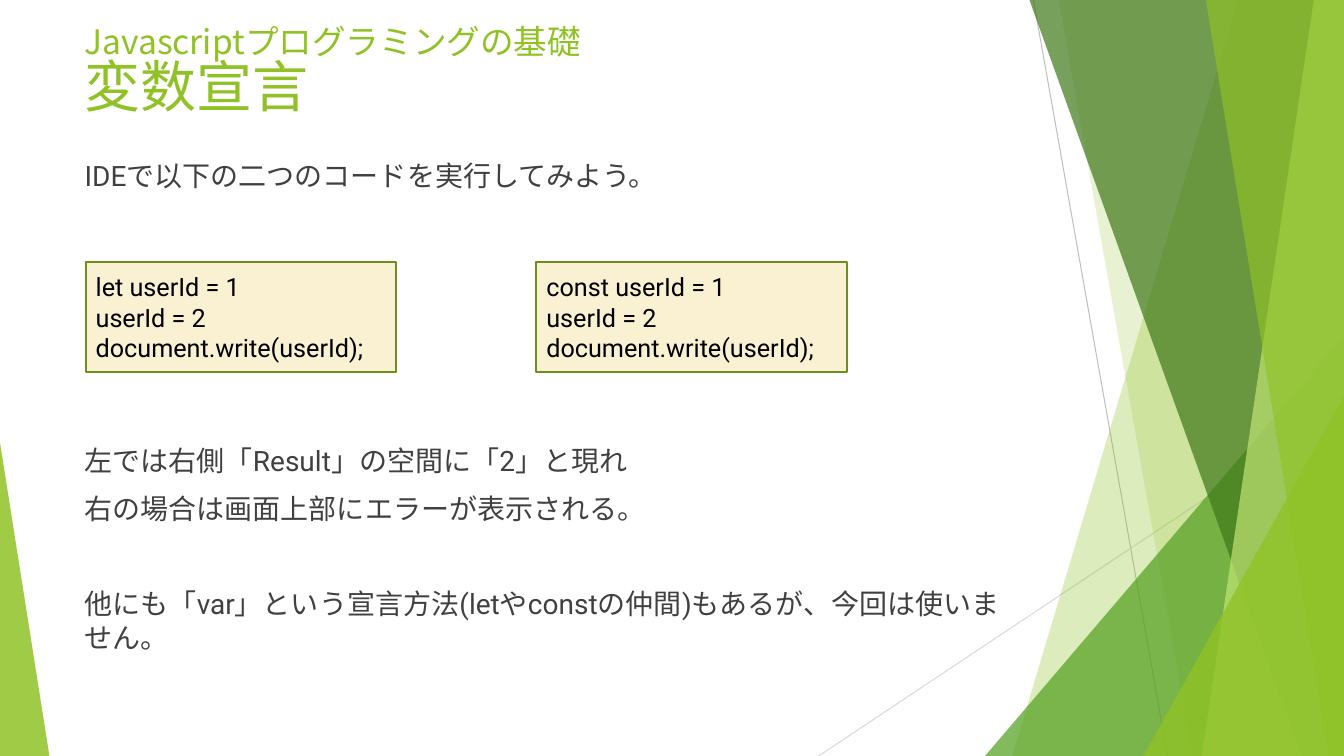
from pptx import Presentation
from pptx.dml.color import RGBColor
from pptx.enum.shapes import MSO_CONNECTOR, MSO_SHAPE
from pptx.enum.text import MSO_ANCHOR, PP_ALIGN
from pptx.oxml.ns import qn
from pptx.util import Inches, Pt
from lxml import etree

LINE = MSO_CONNECTOR.STRAIGHT
RECT = MSO_SHAPE.RECTANGLE
TRI = MSO_SHAPE.ISOSCELES_TRIANGLE
TOP, MID = MSO_ANCHOR.TOP, MSO_ANCHOR.MIDDLE
LEFT = PP_ALIGN.LEFT

WIDE, HIGH = 13.33, 7.5
SANS, CODE = "Noto Sans CJK JP", "Roboto"
COLORS = {
    "lime": "90C226", "green": "54A021", "dark": "3F7819", "pale": "C0E474",
    "gray": "BFBFBF", "mist": "D9D9D9", "text": "404040", "black": "000000",
    "cream": "FAF1D2", "edge": "6B901C",
}


def color(name):
    return RGBColor.from_string(COLORS[name])


def paint(shape, name, alpha=100):
    """Fill a shape without outline or shadow, with opacity in percent."""
    shape.shadow.inherit = False
    shape.line.fill.background()
    shape.fill.solid()
    shape.fill.fore_color.rgb = color(name)
    if alpha < 100:
        tone = shape.fill._xPr.find(qn("a:solidFill"))[0]
        etree.SubElement(tone, qn("a:alpha"), val=str(alpha * 1000))


def add_run(para, text, size, name, font):
    run = para.add_run()
    run.text = text
    run.font.size = Pt(size)
    run.font.name = font
    run.font.color.rgb = color(name)
    east = etree.SubElement(run.font._element, qn("a:ea"))
    east.set("typeface", font)


def add_frame(shape, anchor):
    frame = shape.text_frame
    frame.word_wrap = True
    frame.vertical_anchor = anchor
    return frame


def add_ray(slide, start, end, name):
    ray = slide.shapes.add_connector(LINE, *map(Inches, start + end))
    ray.line.color.rgb = color(name)
    ray.line.width = Pt(0.75)
    etree.SubElement(ray._element.spPr, qn("a:effectLst"))


def add_band(slide, top, foot, name, alpha):
    """Full-height band from a slanted left edge to the slide's right edge."""
    points = [(top, 0), (WIDE, 0), (WIDE, HIGH), (foot, HIGH)]
    points = [(Inches(x), Inches(y)) for x, y in points]
    pen = slide.shapes.build_freeform(*points[0])
    pen.add_line_segments(points[1:], close=True)
    paint(pen.convert_to_shape(), name, alpha)


def add_wedge(slide, left, width, height, tip, name, alpha):
    """Triangle standing on the bottom edge of the slide."""
    wedge = slide.shapes.add_shape(
        TRI, Inches(left), Inches(HIGH - height), Inches(width), Inches(height))
    wedge.adjustments[0] = tip
    paint(wedge, name, alpha)


def add_decor(slide):
    # Thin rays
    add_ray(slide, (10.25, 0), (11.58, HIGH), "gray")
    add_ray(slide, (WIDE, 4.03), (8.12, HIGH), "mist")
    # Overlapping bands and wedges, back to front
    add_band(slide, 12.28, 10.04, "lime", 30)
    add_band(slide, 10.5, 11.83, "lime", 20)
    add_wedge(slide, 9.77, 3.56, 4.17, 1, "green", 72)
    add_band(slide, 10.21, 12.91, "dark", 70)
    add_band(slide, 13.03, 11.92, "pale", 70)
    add_band(slide, 11.96, 13.18, "lime", 65)
    add_wedge(slide, 11.34, 1.99, 3.57, 1, "lime", 80)
    add_wedge(slide, 0, 0.49, 3.11, 0, "lime", 85)


def add_title(slide, box, topic, title):
    frame = add_frame(slide.shapes.add_textbox(*map(Inches, box)), TOP)
    para = frame.paragraphs[0]
    para.line_spacing = 0.85
    add_run(para, topic, 24, "lime", SANS)
    para.add_line_break()
    add_run(para, title, 40, "lime", SANS)


def add_body(slide, box, items):
    """Each item is the number of empty rows above it and its text."""
    frame = add_frame(slide.shapes.add_textbox(*map(Inches, box)), TOP)
    row, gap = 24, 10
    for i, (skip, text) in enumerate(items):
        para = frame.add_paragraph() if i else frame.paragraphs[0]
        para.space_before = Pt(gap + skip * (row + gap))
        add_run(para, text, 20, "text", CODE)


def add_code(slide, box, lines):
    panel = slide.shapes.add_shape(RECT, *map(Inches, box))
    paint(panel, "cream")
    panel.line.color.rgb = color("edge")
    panel.line.width = Pt(1.5)
    frame = add_frame(panel, MID)
    for i, text in enumerate(lines):
        para = frame.add_paragraph() if i else frame.paragraphs[0]
        para.alignment = LEFT
        add_run(para, text, 18, "black", CODE)


def main():
    deck = Presentation()
    deck.slide_width, deck.slide_height = Inches(WIDE), Inches(HIGH)
    slide = deck.slides.add_slide(deck.slide_layouts[6])
    add_decor(slide)
    add_title(slide, (0.74, 0.22, 9.4, 1.21),
              "Javascriptプログラミングの基礎", "変数宣言")
    add_body(slide, (0.74, 1.52, 9.4, 5.09), [
        (0, "IDEで以下の二つのコードを実行してみよう。"),
        (5, "左では右側「Result」の空間に「2」と現れ"),
        (0, "右の場合は画面上部にエラーが表示される。"),
        (1, "他にも「var」という宣言方法(letやconstの仲間)もあるが、今回は使いません。"),
    ])
    # Two code samples that differ in the keyword
    for i, word in enumerate(("let", "const")):
        add_code(slide, (0.85 + i * 4.47, 2.6, 3.08, 1.09), [
            f"{word} userId = 1", "userId = 2", "document.write(userId);"])
    deck.save("out.pptx")


if __name__ == "__main__":
    main()
